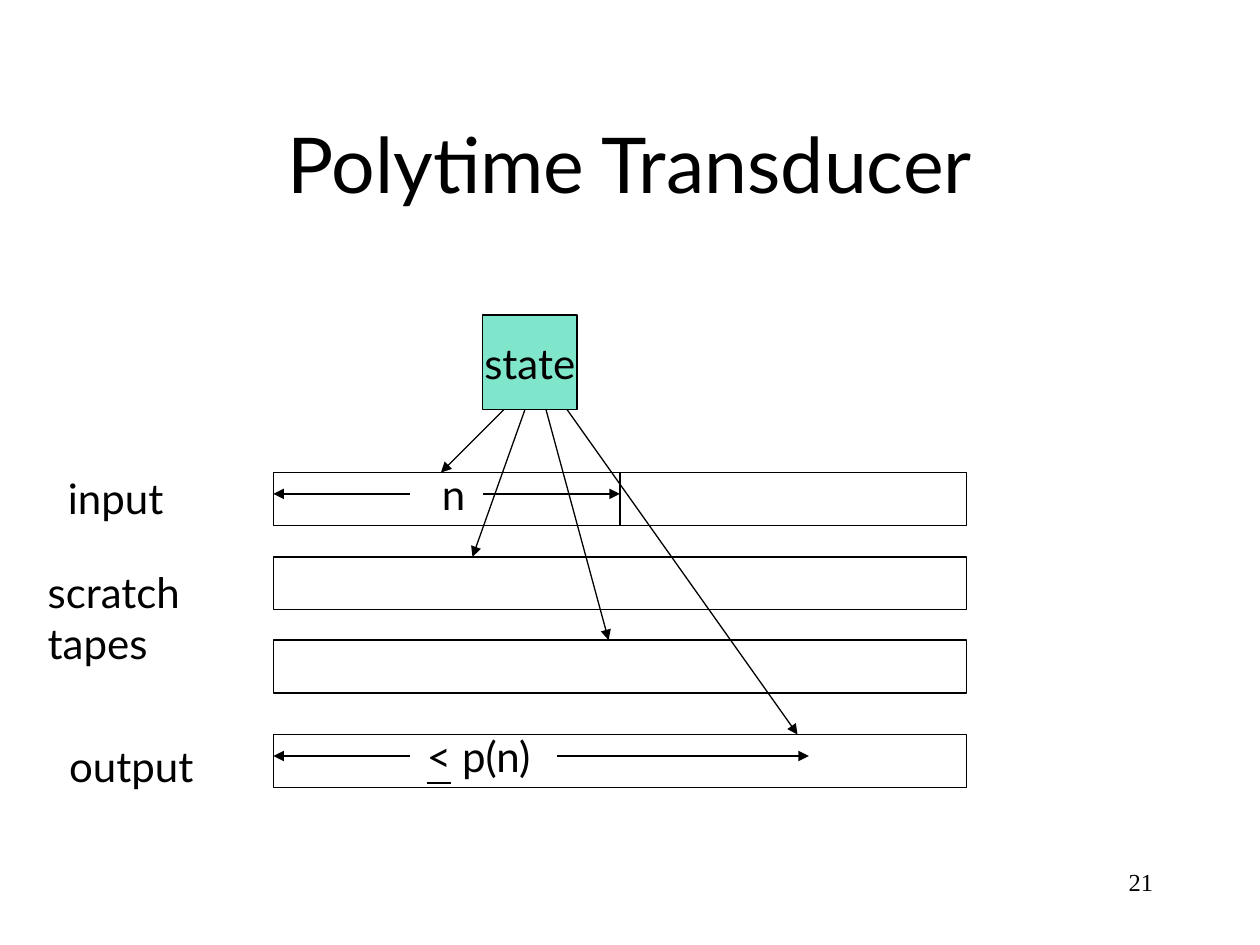
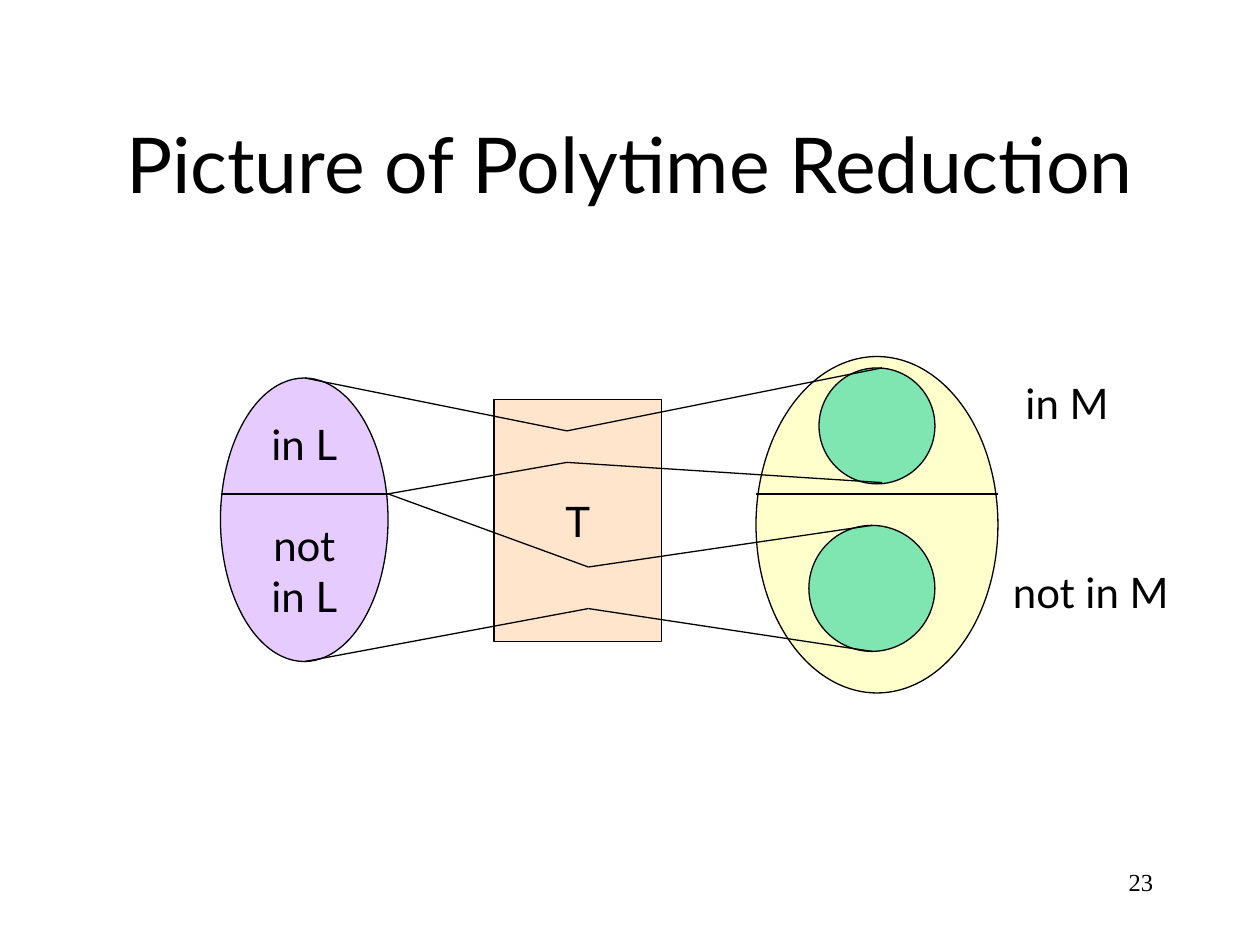
import itertools

import lxml.etree
import pptx
import pptx.dml.color
import pptx.enum.shapes
import pptx.enum.text
import pptx.oxml.ns
import pptx.util

Inches = pptx.util.Inches
Pt = pptx.util.Pt
Align = pptx.enum.text.PP_ALIGN
Anchor = pptx.enum.text.MSO_ANCHOR
Shape = pptx.enum.shapes.MSO_SHAPE

GREEN, PEACH, LILAC, YELLOW = "00CC99", "FFCC99", "CC99FF", "FFFF99"
INK = "000000"


def tint(color, code):
    color.rgb = pptx.dml.color.RGBColor.from_string(code)


def add(parent, tag, **attrs):
    return lxml.etree.SubElement(parent, pptx.oxml.ns.qn(tag), attrs)


def write(frame, text, size=24, font="Lato", align=Align.LEFT,
          anchor=Anchor.TOP, wrap=False, under=0, gaps=()):
    """Fill a frame line by line; under counts the underlined first letters,
    and gaps gives the points of space before each line."""
    frame.word_wrap = wrap
    frame.vertical_anchor = anchor
    for i, (line, gap) in enumerate(
            itertools.zip_longest(text.split("\n"), gaps, fillvalue=0)):
        para = frame.paragraphs[0] if i == 0 else frame.add_paragraph()
        para.alignment = align
        para.space_before = Pt(gap)
        for part, mark in ((line[:under], True), (line[under:], False)):
            if part:
                run = para.add_run()
                run.text = part
                run.font.name = font
                run.font.size = Pt(size)
                run.font.underline = mark
                tint(run.font.color, INK)


class Deck:
    def __init__(self):
        self.show = pptx.Presentation()
        self.show.slide_width = Inches(10)
        self.show.slide_height = Inches(7.5)
        self.slide = None

    def page(self, title, number):
        self.slide = self.show.slides.add_slide(self.show.slide_layouts[5])
        head = self.slide.shapes.title
        head.left, head.top = Inches(0.75), Inches(0.67)
        head.width, head.height = Inches(8.5), Inches(1.25)
        write(head.text_frame, title, size=44, align=Align.CENTER,
              anchor=Anchor.MIDDLE, wrap=True)
        self.label(7.17, 6.83, 2.08, str(number), size=14,
                   font="Times New Roman", align=Align.RIGHT, wrap=True)

    def label(self, x, y, w, text, h=0.5, **style):
        box = self.slide.shapes.add_textbox(
            Inches(x), Inches(y), Inches(w), Inches(h))
        write(box.text_frame, text, **style)

    def shape(self, kind, x, y, w, h, fill=None, text="", **style):
        """Draw an outlined shape, its fill half transparent."""
        item = self.slide.shapes.add_shape(
            kind, Inches(x), Inches(y), Inches(w), Inches(h))
        item.shadow.inherit = False
        tint(item.line.color, INK)
        item.line.width = Pt(0.75)
        if fill:
            item.fill.solid()
            tint(item.fill.fore_color, fill)
            color = item.fill._xPr.find(".//" + pptx.oxml.ns.qn("a:srgbClr"))
            add(color, "a:alpha", val="50000")
        else:
            item.fill.background()
        if text:
            write(item.text_frame, text, align=Align.CENTER,
                  anchor=Anchor.MIDDLE, **style)

    def line(self, start, end, arrow=False):
        item = self.slide.shapes.add_connector(
            pptx.enum.shapes.MSO_CONNECTOR.STRAIGHT,
            *(Inches(v) for v in (*start, *end)))
        tint(item.line.color, INK)
        item.line.width = Pt(0.75)
        if arrow:
            add(item.line._get_or_add_ln(), "a:tailEnd", type="triangle")
        add(item._element.spPr, "a:effectLst")

    def chain(self, *points):
        for start, end in itertools.pairwise(points):
            self.line(start, end)


def machine(deck):
    deck.page("Polytime Transducer", 21)
    deck.shape(Shape.RECTANGLE, 3.83, 2.5, 0.75, 0.75, GREEN, "state")

    left, tops = 2.17, (3.75, 4.42, 5.08, 5.83)
    for top in tops:
        deck.shape(Shape.RECTANGLE, left, top, 5.5, 0.42)

    # Spans along the input and output tapes
    deck.label(3.41, 3.67, 0.4, "n")
    deck.label(3.29, 5.75, 1.09, "< p(n)", under=1)
    for y, start, end in ((3.92, 3.83, 4.92), (6, 4.42, 6.42)):
        deck.line((3.25, y), (left, y), arrow=True)
        deck.line((start, y), (end, y), arrow=True)
    deck.line((4.92, 3.75), (4.92, 4.17))

    deck.label(0.44, 3.7, 1.02, "input")
    deck.label(0.28, 4.45, 1.33, "scratch\ntapes", h=0.9)
    deck.label(0.45, 5.83, 1.26, "output")

    # One head from the state to each tape
    for i, (x, top) in enumerate(zip((3.5, 3.75, 4.83, 6.33), tops)):
        deck.line((4 + i / 6, 3.25), (x, top), arrow=True)


def mapping(deck):
    deck.page("Picture of Polytime Reduction", 23)
    deck.shape(Shape.RECTANGLE, 3.92, 3.17, 1.33, 1.92, PEACH, "T")
    deck.shape(Shape.OVAL, 1.75, 3, 1.33, 2.25, LILAC,
               "in L\nnot\nin L", gaps=(0, 28.8))
    deck.shape(Shape.OVAL, 6, 2.83, 1.92, 2.67, YELLOW)
    split = 3.92
    for start, end in ((1.75, 3.08), (6, 7.92)):
        deck.line((start, split), (end, split))
    deck.label(8.04, 2.95, 0.88, "in M")
    deck.label(7.94, 4.45, 1.49, "not in M")

    # Each half of L passes through T to a circle in M
    top, side, base = (2.42, 3), (3.08, split), (2.42, 5.25)
    deck.shape(Shape.OVAL, 6.5, 2.92, 0.92, 0.92, GREEN)
    deck.chain(top, (4.5, 3.42), (7, 2.92))
    deck.chain(side, (4.5, 3.67), (7, 3.83))
    deck.shape(Shape.OVAL, 6.42, 4.17, 1, 1, GREEN)
    deck.chain(side, (4.67, 4.5), (6.92, 4.17))
    deck.chain(base, (4.67, 4.83), (6.92, 5.17))


def main():
    deck = Deck()
    machine(deck)
    mapping(deck)
    deck.show.save("out.pptx")


if __name__ == "__main__":
    main()
